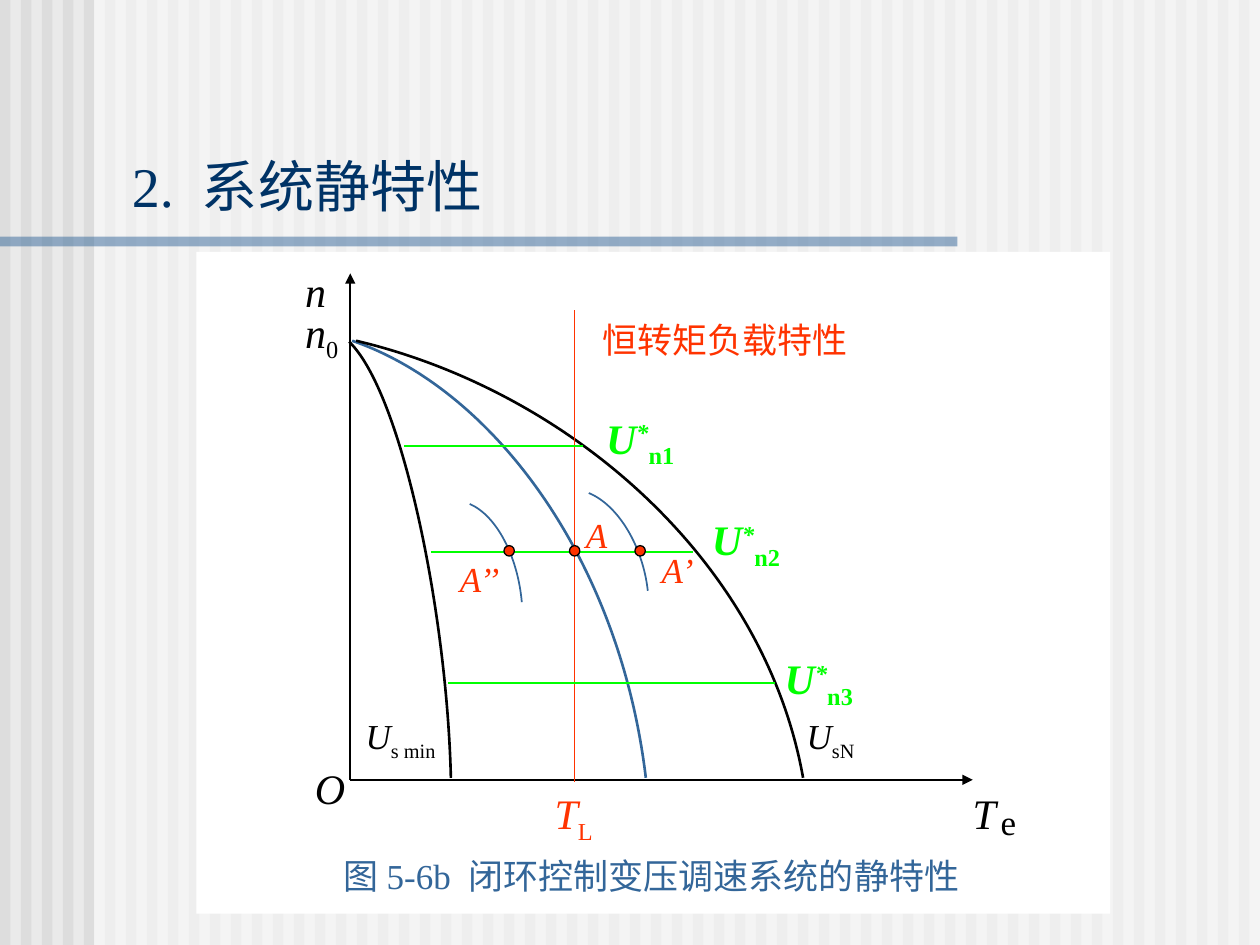
"""Build the slide on the closed-loop static characteristics of a voltage-controlled drive."""
from lxml import etree
from pptx import Presentation
from pptx import util as u
from pptx.dml.color import RGBColor
from pptx.enum import shapes, text
from pptx.oxml import ns

BLACK = RGBColor(0x00, 0x00, 0x00)
WHITE = RGBColor(0xFF, 0xFF, 0xFF)
PALE = RGBColor(0xEA, 0xEA, 0xEA)
GREY = RGBColor(0xDD, 0xDD, 0xDD)
NAVY = RGBColor(0x00, 0x33, 0x66)
BLUE = RGBColor(0x33, 0x66, 0x99)
RED = RGBColor(0xFF, 0x33, 0x00)
GREEN = RGBColor(0x00, 0xFF, 0x00)
SERIF = "Times New Roman"
SANS = "DejaVu Sans"
KIND = shapes.MSO_SHAPE


class Board:
    def __init__(self, deck):
        self.slide = deck.slides.add_slide(deck.slide_layouts[6])
        self.items = self.slide.shapes
        fill = self.slide.background.fill
        fill.solid()
        fill.fore_color.rgb = PALE

    def shape(self, x, y, w, h, color, kind=KIND.RECTANGLE, edge=None, alpha=None):
        item = self.items.add_shape(kind, u.Cm(x), u.Cm(y), u.Cm(w), u.Cm(h))
        item.shadow.inherit = False
        item.fill.solid()
        item.fill.fore_color.rgb = color
        if alpha:
            tint = item._element.spPr.find(".//" + ns.qn("a:srgbClr"))
            etree.SubElement(tint, ns.qn("a:alpha"), val=str(alpha * 1000))
        if edge is None:
            item.line.fill.background()
        else:
            item.line.color.rgb = edge
            item.line.width = u.Pt(0.75)

    def line(self, x1, y1, x2, y2, color, width=1, arrow=False):
        item = self.items.add_connector(
            shapes.MSO_CONNECTOR.STRAIGHT, u.Cm(x1), u.Cm(y1), u.Cm(x2), u.Cm(y2))
        item.line.color.rgb = color
        item.line.width = u.Pt(width)
        if arrow:
            etree.SubElement(item.line._get_or_add_ln(), ns.qn("a:tailEnd"), type="triangle")
        etree.SubElement(item._element.spPr, ns.qn("a:effectLst"))

    def curve(self, dots, color, width):
        start, *rest = [(u.Cm(x), u.Cm(y)) for x, y in dots]
        pen = self.items.build_freeform(*start)
        pen.add_line_segments(rest, close=False)
        item = pen.convert_to_shape()
        item.shadow.inherit = False
        item.fill.background()
        item.line.color.rgb = color
        item.line.width = u.Pt(width)
        track = item._element.spPr.find(".//" + ns.qn("a:path"))
        bend = etree.SubElement(track, ns.qn("a:cubicBezTo"))
        for step in track.findall(ns.qn("a:lnTo")):
            bend.append(step[0])
            track.remove(step)

    def label(self, x, y, w, h, size, color, runs, face=SERIF, bold=None, inset=False,
              anchor=text.MSO_ANCHOR.TOP):
        frame = self.items.add_textbox(u.Cm(x), u.Cm(y), u.Cm(w), u.Cm(h)).text_frame
        frame.word_wrap = True
        frame.vertical_anchor = anchor
        side, top = (0.25, 0.13) if inset else (0, 0)
        frame.margin_left = frame.margin_right = u.Cm(side)
        frame.margin_top = frame.margin_bottom = u.Cm(top)
        para = frame.paragraphs[0]
        para.font.name = face
        para.font.size = u.Pt(size)
        para.font.bold = bold
        para.font.color.rgb = color
        for words, style in runs:
            run = para.add_run()
            run.text = words
            run.font.italic = style.get("slant")
            if "face" in style:
                run.font.name = style["face"]
            for key in ("baseline", "spc"):
                if key in style:
                    run.font._element.set(key, str(style[key]))


def symbol(base, sub="", sup=""):
    runs = [(base, {"slant": True})]
    if sup:
        runs.append((sup, {"slant": True, "baseline": 30000}))
    if sub:
        runs.append((sub, {"baseline": -25000}))
    return runs


def main():
    deck = Presentation()
    deck.slide_width, deck.slide_height = u.Cm(25.4), u.Cm(19.05)
    board = Board(deck)

    pitch = 25.4 / 60
    for i in range(60):
        board.shape(i * pitch, 0, pitch / 2, 19.05, GREY)
    board.shape(1.9, 0, 23.5, 19.05, WHITE, alpha=50)
    board.shape(0, 4.77, 19.3, 0.2, BLUE, alpha=50)
    board.label(2.41, 2.9, 22.68, 1.63, 32, NAVY,
                [("2.", {}), (" ", {"spc": 800}), ("系统静特性", {})],
                inset=True, anchor=text.MSO_ANCHOR.BOTTOM)
    board.shape(3.96, 5.08, 18.42, 13.34, WHITE)

    for dots, color, width in (
        ([(9.47, 10.16), (10.02, 10.4), (10.44, 11.23), (10.52, 12.14)], BLUE, 1),
        ([(11.87, 9.94), (12.46, 10.18), (12.96, 11.01), (13.06, 11.91)], BLUE, 1),
        ([(7.04, 6.89), (8.1, 7.92), (9.01, 12.34), (9.09, 15.68)], BLACK, 1.5),
        ([(7.1, 6.87), (9.88, 7.82), (12.48, 11.19), (13.02, 15.68)], BLUE, 1.5),
        ([(7.18, 6.87), (11.45, 7.88), (15.4, 11.27), (16.19, 15.68)], BLACK, 1.5),
    ):
        board.curve(dots, color, width)

    board.line(7.06, 15.72, 19.61, 15.72, BLACK, arrow=True)
    board.line(7.06, 15.72, 7.06, 5.51, BLACK, arrow=True)
    board.line(11.58, 6.25, 11.58, 15.77, RED)

    for left, right, y, x, top, sub in (
        (8.15, 11.76, 8.99, 12.22, 8.31, "n1"),
        (8.69, 13.97, 11.13, 14.35, 10.36, "n2"),
        (9.04, 15.62, 13.77, 15.82, 13.16, "n3"),
    ):
        board.line(left, y, right, y, GREEN, 1.5)
        board.label(x, top, 1.9, 1.17, 24, GREEN, symbol("U", sub, "*"), bold=True)

    for x in (10.16, 11.48, 12.8):
        board.shape(x, 11, 0.21, 0.21, RED, KIND.OVAL, BLACK)

    for x, y, w, size, color, runs in (
        (20.17, 16.13, 0.6, 20, BLACK, [("e", {})]),
        (19.61, 15.88, 0.66, 24, BLACK, symbol("T")),
        (6.35, 15.37, 0.66, 24, BLACK, symbol("O")),
        (6.15, 5.36, 0.6, 24, BLACK, symbol("n")),
        (6.15, 6.17, 0.9, 24, BLACK, symbol("n", "0")),
        (11.18, 15.88, 1.9, 24, RED, symbol("T", "L")),
        (16.26, 14.4, 1.9, 20, BLACK, symbol("U", "sN")),
        (7.37, 14.4, 2.74, 20, BLACK, symbol("U", "s min")),
        (11.81, 10.36, 1.07, 20, RED, symbol("A")),
        (13.34, 11.05, 1.07, 20, RED, symbol("A’")),
        (9.27, 11.23, 1.07, 20, RED, symbol("A’’")),
    ):
        board.label(x, y, w, 1, size, color, runs)

    board.label(11.89, 6.3, 5.8, 1.12, 20, RED, [("恒转矩负载特性", {})], SANS, inset=True)
    board.label(6.68, 17.09, 13.4, 1.12, 20, BLUE,
                [("图", {"face": SANS}), (" 5-6b", {}), (" ", {"spc": 500}),
                 ("闭环控制变压调速系统的静特性", {})], inset=True)
    deck.save("out.pptx")


if __name__ == "__main__":
    main()
